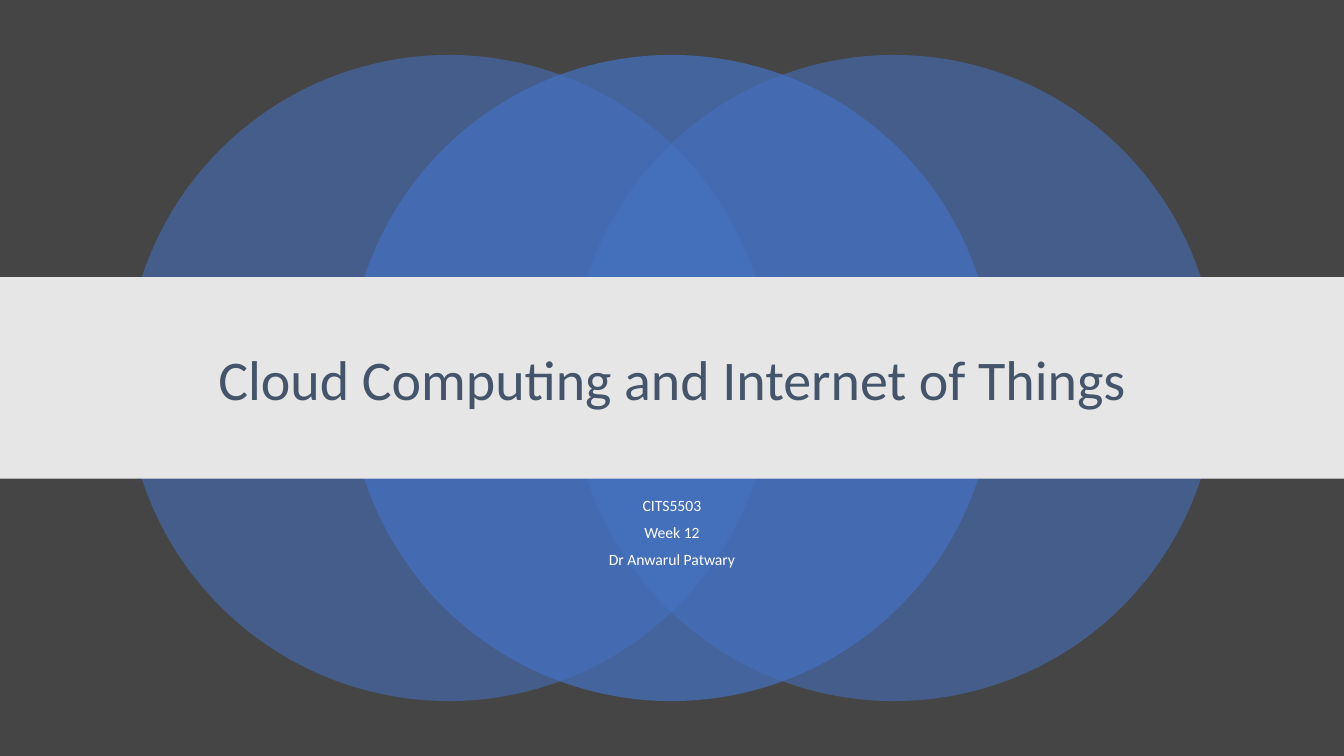
from lxml import etree
from pptx import Presentation
from pptx.dml.color import RGBColor
from pptx.enum.shapes import MSO_SHAPE
from pptx.enum.text import MSO_ANCHOR, PP_ALIGN
from pptx.oxml.ns import qn
from pptx.util import Pt

OVAL, RECT = MSO_SHAPE.OVAL, MSO_SHAPE.RECTANGLE
TOP, MIDDLE = MSO_ANCHOR.TOP, MSO_ANCHOR.MIDDLE
CENTER = PP_ALIGN.CENTER

WIDTH, HEIGHT = 960, 540
FONT = "Calibri"
COLORS = {
    "back": "454545",
    "disc": "4472C4",
    "band": "E7E6E6",
    "title": "44546A",
    "white": "FFFFFF",
}


def color(name):
    return RGBColor.from_string(COLORS[name])


def add_shape(slide, kind, box, fill, alpha=100):
    """Add a plain filled shape; alpha is its opacity in percent."""
    shape = slide.shapes.add_shape(kind, *map(Pt, box))
    shape.shadow.inherit = False
    shape.fill.solid()
    shape.fill.fore_color.rgb = color(fill)
    shape.line.fill.background()
    if alpha < 100:
        tone = shape.fill._xPr.find(".//" + qn("a:srgbClr"))
        etree.SubElement(tone, qn("a:alpha")).set("val", str(alpha * 1000))


def add_text(slide, box, lines, size, fill, anchor, pitch, gap=0):
    """Add centred lines, with a gap before each one after the first."""
    frame = slide.shapes.add_textbox(*map(Pt, box)).text_frame
    frame.word_wrap = True
    frame.vertical_anchor = anchor
    for i, line in enumerate(lines):
        para = frame.add_paragraph() if i else frame.paragraphs[0]
        para.alignment = CENTER
        para.line_spacing = pitch
        if i:
            para.space_before = Pt(gap)
        run = para.add_run()
        run.text = line
        run.font.name = FONT
        run.font.size = Pt(size)
        run.font.color.rgb = color(fill)


def main():
    deck = Presentation()
    deck.slide_width, deck.slide_height = Pt(WIDTH), Pt(HEIGHT)
    slide = deck.slides.add_slide(deck.slide_layouts[6])
    slide.background.fill.solid()
    slide.background.fill.fore_color.rgb = color("back")

    # Three overlapping discs, the middle one in front
    size, step = 461.5, 159
    left, top = (WIDTH - size) / 2 - 0.5, (HEIGHT - size) / 2
    for shift, alpha in ((-1, 55), (1, 55), (0, 70)):
        box = (left + shift * step, top, size, size)
        add_shape(slide, OVAL, box, "disc", alpha)

    # Title band
    add_shape(slide, RECT, (0, 198, WIDTH, 144), "band")
    add_text(slide, (120, 219, 720, 108.5),
             ["Cloud Computing and Internet of Things"],
             40, "title", MIDDLE, 0.9)

    # Course, week and lecturer
    add_text(slide, (120, 354, 720, 60),
             ["CITS5503", "Week 12", "Dr Anwarul Patwary"],
             11.2, "white", TOP, 0.7, 10)

    deck.save("out.pptx")


if __name__ == "__main__":
    main()
